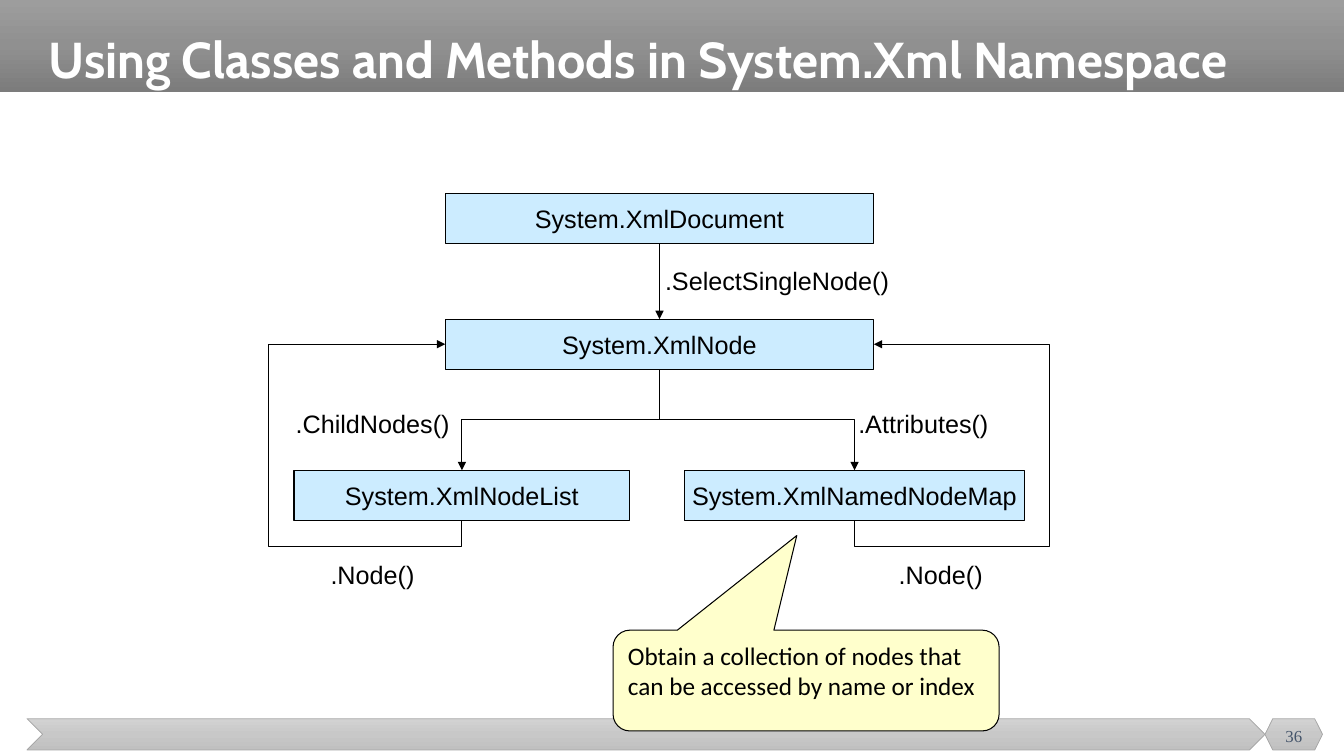
"""Build the slide on classes and methods in the System.Xml namespace."""
from copy import deepcopy

from lxml.etree import SubElement
from pptx import Presentation
from pptx.dml.color import RGBColor
from pptx.enum.shapes import MSO_CONNECTOR, MSO_SHAPE
from pptx.enum.text import MSO_ANCHOR, MSO_AUTO_SIZE, PP_ALIGN
from pptx.oxml.ns import qn
from pptx.util import Cm, Pt

COLORS = {
    "black": "000000", "white": "FFFFFF", "box": "CCECFF", "callout": "FFFFCC",
    "footer line": "A5A5A5", "number": "44546A",
}
BAND_GRADIENT = ("9D9D9D", "909090", "7C7C7C")
FOOTER_GRADIENT = ("D2D2D2", "C8C8C8", "C0C0C0")
LABEL_FONT = {"name": "Arial", "size": Pt(18)}


def write(shape, text, font, color, align, frame_format):
    """Put one formatted paragraph into a shape."""
    frame = shape.text_frame
    for key, value in frame_format.items():
        setattr(frame, key, value)
    paragraph = frame.paragraphs[0]
    paragraph.text = text
    paragraph.alignment = align
    for key, value in font.items():
        setattr(paragraph.runs[0].font, key, value)
    paragraph.runs[0].font.color.rgb = RGBColor.from_string(COLORS[color])


def arrow(kind, source, source_side, target, target_side):
    """Join two boxes with a thin arrow."""
    connector = slide.shapes.add_connector(kind, 0, 0, 0, 0)
    connector.begin_connect(source, source_side)
    connector.end_connect(target, target_side)
    connector.line.width = Pt(0.75)
    connector.line.color.rgb = RGBColor.from_string(COLORS["black"])
    SubElement(connector.line._get_or_add_ln(), qn("a:tailEnd"), type="triangle")
    SubElement(connector._element.spPr, qn("a:effectLst"))
    return connector


prs = Presentation()
prs.slide_width, prs.slide_height = Cm(33.87), Cm(19.05)
slide = prs.slides.add_slide(prs.slide_layouts[5])

for preset, left, top, width, height, gradient, outlined in (
    (MSO_SHAPE.RECTANGLE, 0, 0, 33.87, 2.31, BAND_GRADIENT, False),
    (MSO_SHAPE.CHEVRON, 0.68, 18.11, 31.2, 0.79, FOOTER_GRADIENT, True),
    (MSO_SHAPE.HEXAGON, 31.88, 18.11, 1.45, 0.79, FOOTER_GRADIENT, True),
):
    band = slide.shapes.add_shape(preset, Cm(left), Cm(top), Cm(width), Cm(height))
    band.shadow.inherit = False
    band.fill.gradient()
    band.fill.gradient_angle = 270
    stop_list = band._element.spPr.find(".//" + qn("a:gsLst"))
    stop_list.append(deepcopy(stop_list[0]))
    for stop, color, position in zip(band.fill.gradient_stops, gradient, (0, 0.5, 1)):
        stop.color.rgb = RGBColor.from_string(color)
        stop.position = position
    if outlined:
        band.line.color.rgb = RGBColor.from_string(COLORS["footer line"])
        band.line.width = Pt(0.5)
    else:
        band.line.fill.background()

title = slide.shapes.title
title.left, title.top, title.width, title.height = Cm(0.97), Cm(0), Cm(32.36), Cm(2.31)
write(title, "Using Classes and Methods in System.Xml Namespace",
      {"name": "Cabin", "size": Pt(36), "bold": True}, "white", PP_ALIGN.LEFT,
      {"vertical_anchor": MSO_ANCHOR.MIDDLE, "auto_size": MSO_AUTO_SIZE.NONE, "word_wrap": True})
title.text_frame.paragraphs[0].line_spacing = 1.4
slide.shapes._spTree.append(title._element)

page_number = slide.shapes.add_textbox(Cm(31.88), Cm(18.03), Cm(1.45), Cm(1.02))
write(page_number, "36", {"name": "Times New Roman", "size": Pt(12)}, "number",
      PP_ALIGN.CENTER, {"vertical_anchor": MSO_ANCHOR.MIDDLE, "word_wrap": True})

classes = {}
for name, left, top, width in (
    ("XmlDocument", 11.22, 4.87, 10.8),
    ("XmlNode", 11.22, 8.04, 10.8),
    ("XmlNodeList", 7.41, 11.85, 8.46),
    ("XmlNamedNodeMap", 17.25, 11.85, 8.57),
):
    box = slide.shapes.add_shape(MSO_SHAPE.RECTANGLE, Cm(left), Cm(top), Cm(width), Cm(1.27))
    box.shadow.inherit = False
    box.fill.solid()
    box.fill.fore_color.rgb = RGBColor.from_string(COLORS["box"])
    box.line.color.rgb = RGBColor.from_string(COLORS["black"])
    box.line.width = Pt(0.75)
    write(box, "System." + name, LABEL_FONT, "black", PP_ALIGN.CENTER,
          {"vertical_anchor": MSO_ANCHOR.MIDDLE, "word_wrap": False})
    classes[name] = box

node = classes["XmlNode"]
arrow(MSO_CONNECTOR.STRAIGHT, classes["XmlDocument"], 2, node, 0)

node_list, node_map = classes["XmlNodeList"], classes["XmlNamedNodeMap"]
loop_drop = Cm(0.64)
for source, source_side, target, target_side, turn, flips, loop_x in (
    (node, 2, node_list, 0, 90, "", None),
    (node, 2, node_map, 0, 270, "H", None),
    (node_list, 2, node, 1, 270, "V", Cm(6.77)),
    (node_map, 2, node, 3, 90, "HV", Cm(26.45)),
):
    route = arrow(MSO_CONNECTOR.ELBOW, source, source_side, target, target_side)
    start_x, end_x = route.begin_x, route.end_x
    start_y, end_y = route.begin_y, route.end_y
    length, span = abs(end_y - start_y), abs(end_x - start_x)
    route.left = (start_x + end_x - length) // 2
    route.top = (start_y + end_y - span) // 2
    route.width, route.height = length, span
    xfrm = route._element.spPr.find(qn("a:xfrm"))
    xfrm.set("rot", str(turn * 60000))
    for axis in "HV":
        xfrm.set("flip" + axis, str(int(axis in flips)))
    geometry = route._element.spPr.find(qn("a:prstGeom"))
    bends = {"adj1": 0.5}
    if loop_x is not None:
        geometry.set("prst", "bentConnector4")
        bends = {"adj1": -loop_drop / length, "adj2": (loop_x - start_x) / (end_x - start_x)}
    guides = geometry.find(qn("a:avLst"))
    for bend, share in bends.items():
        SubElement(guides, qn("a:gd"), name=bend, fmla=f"val {round(share * 100000)}")

for method, left, top, width in (
    ("SelectSingleNode", 16.51, 6.56, 6.2),
    ("Attributes", 21.38, 10.16, 4),
    ("ChildNodes", 7.2, 10.16, 4.45),
    ("Node", 8.08, 13.97, 2.7),
    ("Node", 22.4, 13.97, 2.7),
):
    method_label = slide.shapes.add_textbox(Cm(left), Cm(top), Cm(width), Cm(1.02))
    write(method_label, f".{method}()", LABEL_FONT, "black", PP_ALIGN.LEFT,
          {"word_wrap": False, "auto_size": MSO_AUTO_SIZE.SHAPE_TO_FIT_TEXT})

explanation = slide.shapes.add_shape(
    MSO_SHAPE.ROUNDED_RECTANGULAR_CALLOUT, Cm(15.45), Cm(15.88), Cm(9.73), Cm(2.54))
for index, share in enumerate((-0.024, -1.439, 0.167)):
    explanation.adjustments[index] = share
explanation.shadow.inherit = False
explanation.fill.solid()
explanation.fill.fore_color.rgb = RGBColor.from_string(COLORS["callout"])
explanation.line.color.rgb = RGBColor.from_string(COLORS["black"])
explanation.line.width = Pt(0.75)
write(explanation, "Obtain a collection of nodes that can be accessed by name or index",
      {"name": "Calibri", "size": Pt(18)}, "black", PP_ALIGN.LEFT,
      {"vertical_anchor": MSO_ANCHOR.TOP, "word_wrap": True})

prs.save("out.pptx")
